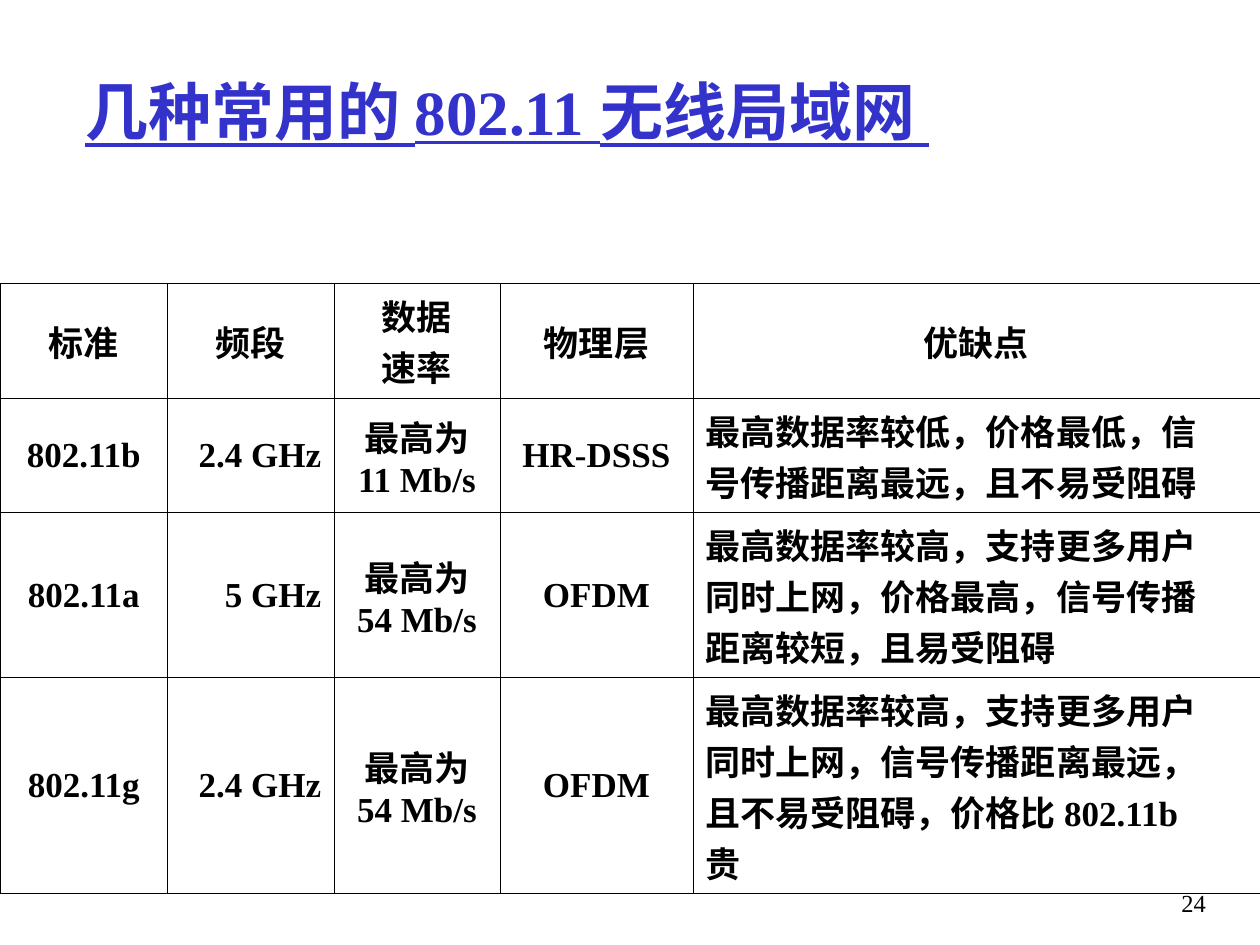
from lxml.etree import SubElement
from pptx import Presentation
from pptx.dml.color import RGBColor
from pptx.enum.text import MSO_ANCHOR as ANCHOR, PP_ALIGN as ALIGN
from pptx.oxml.ns import qn
from pptx.util import Inches, Pt

FONT = "Times New Roman"
COLORS = {"title": "3333CC", "text": "000000", "border": "000000"}

# Content: each cell is a list of lines
TITLE = "几种常用的 802.11 无线局域网 "
PAGE_NUMBER = "24"
HEADER = [["标准"], ["频段"], ["数据", "速率"], ["物理层"], ["优缺点"]]
STANDARDS = [
    [["802.11b"], ["2.4 GHz"], ["最高为", "11 Mb/s"], ["HR-DSSS"],
     ["最高数据率较低，价格最低，信", "号传播距离最远，且不易受阻碍"]],
    [["802.11a"], ["5 GHz"], ["最高为", "54 Mb/s"], ["OFDM"],
     ["最高数据率较高，支持更多用户", "同时上网，价格最高，信号传播",
      "距离较短，且易受阻碍"]],
    [["802.11g"], ["2.4 GHz"], ["最高为", "54 Mb/s"], ["OFDM"],
     ["最高数据率较高，支持更多用户", "同时上网，信号传播距离最远，",
      "且不易受阻碍，价格比 802.11b", "贵"]],
]
COL_WIDTHS = [1.33, 1.32, 1.32, 1.53, 4.5]
ROW_HEIGHTS = [0.91, 0.91, 1.31, 1.71]
BODY_ALIGN = [ALIGN.CENTER, ALIGN.RIGHT, ALIGN.CENTER, ALIGN.CENTER, ALIGN.LEFT]
BORDER_WIDTH = Pt(0.45)
HANGING = Inches(0.38)


def add_run(p, text, size, color, bold=False, underline=False):
    r = p.add_run()
    r.text = text
    r.font.name = FONT
    r.font.size = Pt(size)
    r.font.bold = bold
    r.font.underline = underline
    r.font.color.rgb = RGBColor.from_string(color)


def add_text(slide, box, text, align, anchor, **style):
    tf = slide.shapes.add_textbox(*map(Inches, box)).text_frame
    tf.word_wrap = True
    tf.vertical_anchor = anchor
    p = tf.paragraphs[0]
    p.alignment = align
    add_run(p, text, **style)


def set_borders(cell):
    tc_pr = cell._tc.get_or_add_tcPr()
    for i, side in enumerate(("lnL", "lnR", "lnT", "lnB")):
        ln = SubElement(tc_pr, qn(f"a:{side}"), w=str(BORDER_WIDTH))
        fill = SubElement(ln, qn("a:solidFill"))
        SubElement(fill, qn("a:srgbClr"), val=COLORS["border"])
        tc_pr.insert(i, ln)


def fill_cell(cell, lines, align):
    cell.fill.background()
    cell.vertical_anchor = ANCHOR.MIDDLE
    cell.margin_left = cell.margin_right = Inches(0.1)
    cell.margin_top = cell.margin_bottom = Inches(0.05)
    set_borders(cell)
    tf = cell.text_frame
    for i, line in enumerate(lines):
        p = tf.add_paragraph() if i else tf.paragraphs[0]
        p.alignment = align
        p_pr = p._p.get_or_add_pPr()
        p_pr.set("marL", str(HANGING))
        p_pr.set("indent", str(-HANGING))
        add_run(p, line, 20, COLORS["text"], bold=True)


prs = Presentation()
prs.slide_width, prs.slide_height = Inches(10), Inches(7.5)
slide = prs.slides.add_slide(prs.slide_layouts[6])

# Page number and title
add_text(slide, (8.93, 7, 0.74, 0.5), PAGE_NUMBER, ALIGN.RIGHT, ANCHOR.TOP,
         size=14, color=COLORS["text"])
add_text(slide, (0.58, 0.25, 8.5, 1.25), TITLE, ALIGN.LEFT, ANCHOR.MIDDLE,
         size=36, color=COLORS["title"], bold=True, underline=True)

# Comparison table
rows = [HEADER] + STANDARDS
table = slide.shapes.add_table(
    len(rows), len(COL_WIDTHS), Inches(0), Inches(2.25),
    Inches(sum(COL_WIDTHS)), Inches(sum(ROW_HEIGHTS))).table
table.first_row = table.horz_banding = False
for col, width in zip(table.columns, COL_WIDTHS):
    col.width = Inches(width)
for row, height in zip(table.rows, ROW_HEIGHTS):
    row.height = Inches(height)
for i, row in enumerate(rows):
    for j, lines in enumerate(row):
        fill_cell(table.cell(i, j), lines, BODY_ALIGN[j] if i else ALIGN.CENTER)

prs.save("out.pptx")
